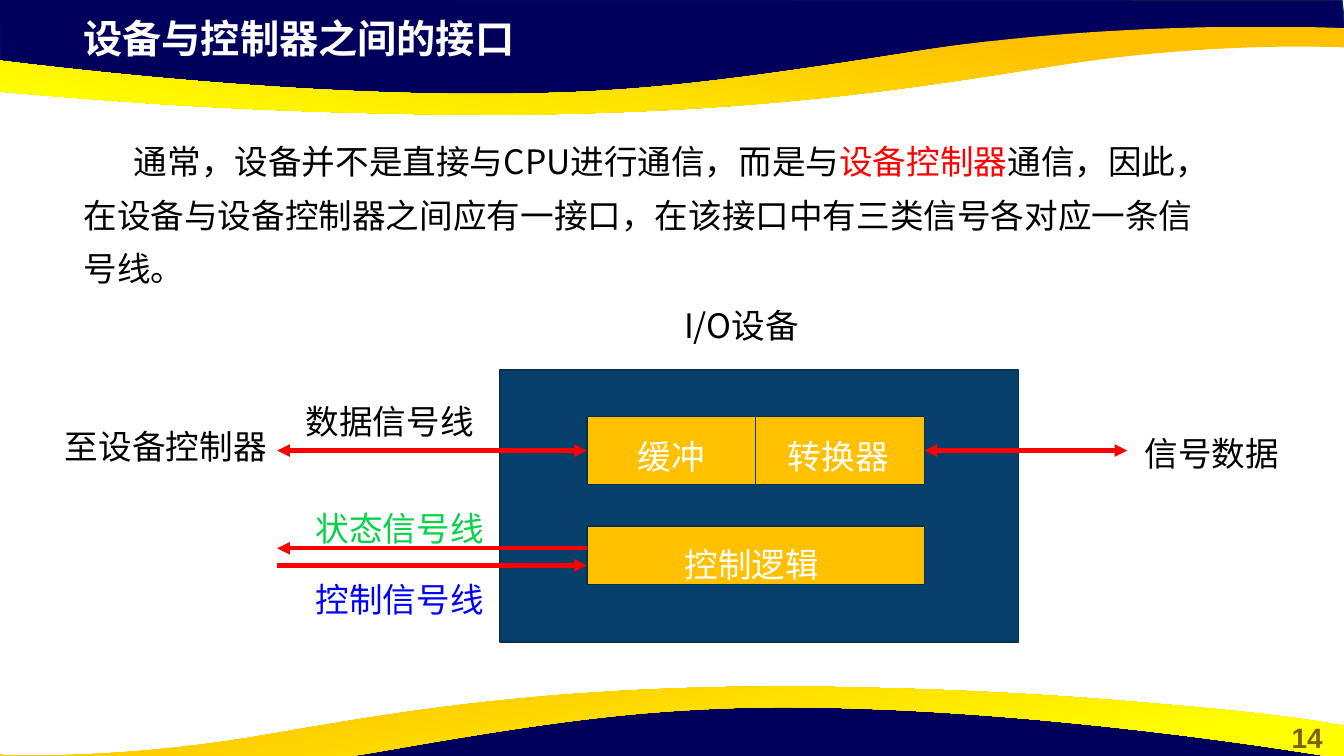
from lxml.etree import SubElement as Sub
from pptx import Presentation
from pptx.dml.color import RGBColor as Rgb
from pptx.enum.shapes import MSO_CONNECTOR as Link, MSO_SHAPE as Kind
from pptx.enum.text import MSO_ANCHOR as Anchor, PP_ALIGN as Align
from pptx.oxml.ns import qn
from pptx.util import Cm, Pt

HUES = {"navy": "00005C", "edge": "05304F", "blue": "07416B", "gold": "FFC000",
        "sun": "FFFF00", "olive": "806000", "white": "FFFFFF", "black": "000000",
        "red": "FF0000", "green": "06D24C", "ink": "0000FF"}
CJK = "Noto Sans CJK SC"
TITLE = "设备与控制器之间的接口"
PAGE = "14"
BODY = [("通常，设备并不是直接与CPU进行通信，而是与", "black"),
        ("设备控制器", "red"),
        ("通信，因此，在设备与设备控制器之间应有一接口，"
         "在该接口中有三类信号各对应一条信号线。", "black")]
LABELS = [
    ("I/O设备", (6.32, 2.85, 2.07, 0.71), "black"),
    ("缓冲", (5.82, 4.15, 1.68, 0.66), "white"),
    ("转换器", (7.46, 4.15, 1.71, 0.66), "white"),
    ("控制逻辑", (6.42, 5.22, 2.07, 0.58), "white"),
    ("信号数据", (11.18, 4.12, 1.68, 0.71), "black"),
    ("数据信号线", (2.87, 3.8, 1.99, 0.71), "black"),
    ("至设备控制器", (0.51, 4.05, 2.27, 0.71), "black"),
    ("状态信号线", (2.97, 4.86, 1.99, 0.71), "green"),
    ("控制信号线", (2.97, 5.57, 1.99, 0.55), "ink"),
]
DEVICE = (4.96, 3.67, 5.14, 2.7)
BUFFER = (5.82, 4.13, 3.35, 0.68)
LOGIC = (5.82, 5.22, 3.35, 0.58)
CAP = [(-0.01, -0.01), (0, 0.7), (2.93, 1.02), (5.59, 1), (7.95, 0.88),
       (10.16, 0.5), (12.38, 0.33), (13.35, 0.38), (13.31, 0)]
TOP = [(4.83, 1.14), (4.43, 1.14, 4.01, 1.13, 3.56, 1.12),
       (2.06, 1.08, 1.1, 1, 0.36, 0.94), (-0.88, 0.84, -1.3, 0.75, -1.33, 0.75),
       (-1.33, 0.42), (-1.33, 0.42, 2.18, 0.98, 5.17, 0.93),
       (6.26, 0.91, 7.08, 0.83, 9.15, 0.5), (11.21, 0.18, 13.33, 0.28, 13.33, 0.28),
       (13.33, 0.32), (13.33, 0.47), (13.3, 0.47),
       (13.05, 0.46, 11.95, 0.43, 10.55, 0.64), (9.18, 0.85, 7.62, 1.13, 4.83, 1.14)]
LOW = [(7.72, 6.81), (8.09, 6.81, 8.47, 6.82, 8.88, 6.83),
       (10.25, 6.87, 11.12, 6.95, 11.79, 7.01), (12.92, 7.11, 13.3, 7.2, 13.33, 7.2),
       (13.33, 7.53), (13.33, 7.53, 10.14, 6.97, 7.42, 7.02),
       (6.42, 7.05, 5.67, 7.12, 3.8, 7.45), (1.92, 7.78, -0.01, 7.68, -0.01, 7.68),
       (-0.01, 7.64), (-0.01, 7.48), (0.02, 7.49),
       (0.25, 7.5, 1.25, 7.52, 2.52, 7.31), (3.76, 7.1, 5.19, 6.82, 7.72, 6.81)]


def size(inch):
    """Turn inches into a length."""
    return Cm(inch * 2.54)


def hue(name):
    """Look up a colour."""
    return Rgb.from_string(HUES[name])


def paint(shape, fill):
    """Give a shape its flat fill and dark edge."""
    shape.shadow.inherit = False
    shape.fill.solid()
    shape.fill.fore_color.rgb = hue(fill)
    shape.line.color.rgb = hue("edge")
    shape.line.width = Pt(1)


def draw(shapes, segs):
    """Draw a closed outline; a segment of six numbers is a curve."""
    ends = [(size(s[i]), size(s[i + 1])) for s in segs for i in range(0, len(s), 2)]
    pen = shapes.build_freeform(*ends[0])
    pen.add_line_segments(ends[1:], close=True)
    shape = pen.convert_to_shape()
    nodes = shape._element.spPr.iter(qn("a:lnTo"))
    nodes = iter(list(nodes))
    for seg in segs[1:]:
        node = next(nodes)
        if len(seg) == 6:
            bend = node.getparent().makeelement(qn("a:cubicBezTo"))
            node.addprevious(bend)
            for part in (node, next(nodes), next(nodes)):
                bend.append(part[0])
                part.getparent().remove(part)
    return shape


def wave(shapes, segs, angle, first, last):
    """Draw a gold band."""
    band = draw(shapes, segs)
    band.shadow.inherit = False
    band.line.fill.background()
    band.fill.gradient()
    band.fill.gradient_angle = angle
    for stop, (pos, name) in zip(band.fill.gradient_stops, [(first, "gold"), (last, "sun")]):
        stop.position = pos
        stop.color.rgb = hue(name)


def block(shapes, box, fill):
    """Draw a filled rectangle."""
    rect = shapes.add_shape(Kind.RECTANGLE, *map(size, box))
    paint(rect, fill)
    return rect


def write(shapes, box, parts, pts=24, face=CJK, bold=False, align=Align.CENTER, inset=None):
    """Add a text box, centred in height unless a top inset is given."""
    frame = shapes.add_textbox(*map(size, box)).text_frame
    frame.word_wrap = True
    if inset is None:
        frame.vertical_anchor = Anchor.MIDDLE
    else:
        frame.margin_top = Cm(inset)
    par = frame.paragraphs[0]
    par.alignment = align
    for words, name in parts:
        run = par.add_run()
        run.text = words
        font = run.font
        font.size, font.bold, font.name = Pt(pts), bold, face
        font.color.rgb = hue(name)
        Sub(run._r.get_or_add_rPr(), qn("a:ea")).set("typeface", CJK)
    return par


def wire(shapes, start, stop, name="red", width=3, tips=()):
    """Add a straight line with optional arrowheads."""
    line = shapes.add_connector(Link.STRAIGHT, *map(size, start + stop))
    line.line.color.rgb = hue(name)
    line.line.width = Pt(width)
    for tip in tips:
        Sub(line.line._get_or_add_ln(), qn("a:" + tip)).set("type", "triangle")
    Sub(line._element.spPr, qn("a:effectLst"))
    return line


def main():
    """Build the slide."""
    deck = Presentation()
    deck.slide_width, deck.slide_height = size(13.33), size(7.5)
    shapes = deck.slides.add_slide(deck.slide_layouts[6]).shapes

    paint(draw(shapes, CAP), "navy")
    wave(shapes, TOP, 260, 0.22, 0.89)
    paint(draw(shapes, [(13.32 - x, 7.93 - y) for x, y in CAP]), "navy")
    wave(shapes, LOW, 280, 0.11, 0.78)
    write(shapes, (12.6, 7.09, 0.73, 0.44), [(PAGE, "olive")], 20, "Arial", True)
    write(shapes, (0.73, 0.09, 7.68, 0.57), [(TITLE, "white")], 28, "Arial", True, Align.LEFT)
    par = write(shapes, (0.73, 1.22, 11.4, 1.24), BODY, align=Align.LEFT, inset=0.11)
    par.line_spacing = Pt(38.4)
    par._p.get_or_add_pPr().set("indent", str(size(0.5)))

    block(shapes, DEVICE, "blue")
    buf = block(shapes, BUFFER, "gold")
    block(shapes, LOGIC, "gold")
    left, top, wide, high = BUFFER
    mid, right = top + high / 2, left + wide
    wire(shapes, (left + wide / 2, top), (left + wide / 2, 4.88), "blue", 0.5)
    for words, box, name in LABELS:
        write(shapes, box, [(words, name)], inset=0.45)

    both = ("headEnd", "tailEnd")
    far = 2.75
    wire(shapes, (right, mid), (11.18, mid), tips=both).begin_connect(buf, 3)
    wire(shapes, (far, mid), (left, mid), tips=both).end_connect(buf, 1)
    wire(shapes, (left, 5.44), (far, 5.44), tips=both[1:])
    wire(shapes, (far, 5.61), (left, 5.61), tips=both[1:])
    deck.save("out.pptx")


if __name__ == "__main__":
    main()
